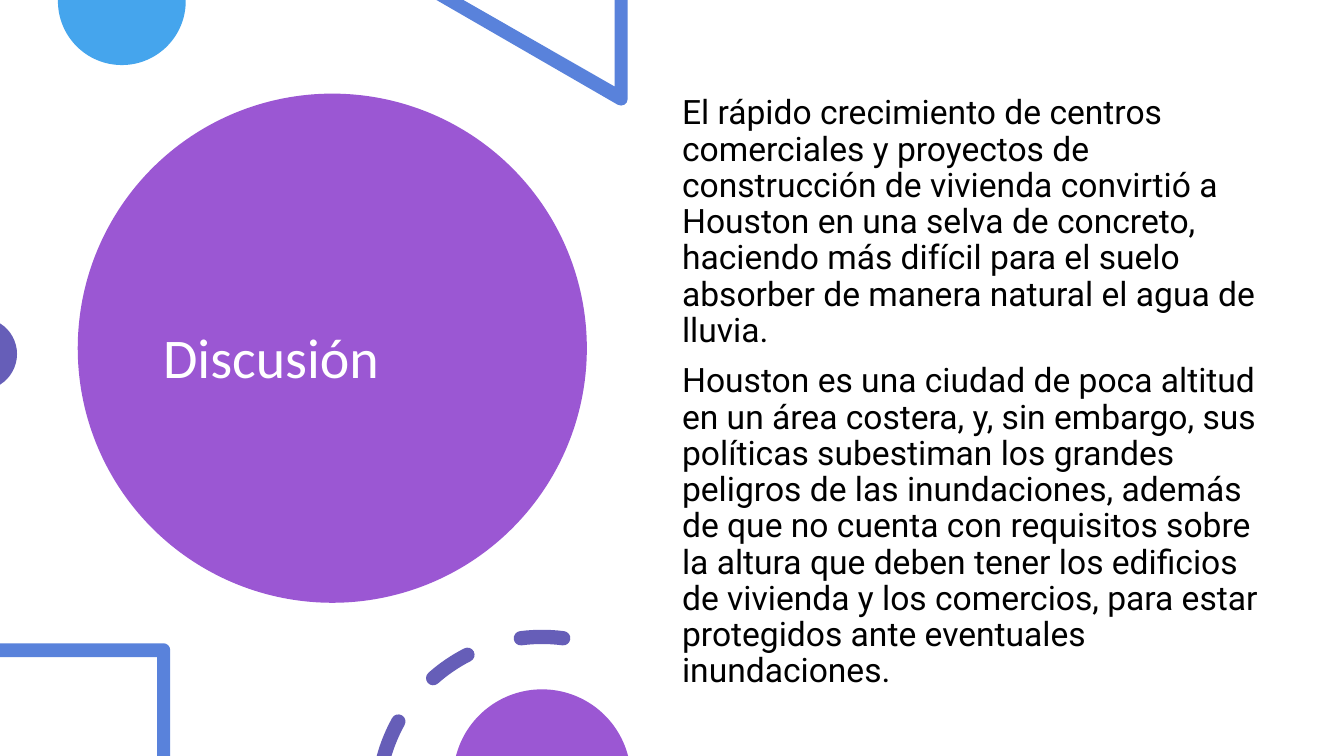
from math import cos, radians, sin, tan

from lxml.etree import SubElement
from pptx import Presentation
from pptx.dml.color import RGBColor
from pptx.enum.shapes import MSO_SHAPE as Shape
from pptx.enum.text import MSO_ANCHOR as Anchor
from pptx.oxml.ns import qn
from pptx.util import Cm, Pt

WIDE, HIGH = 33.87, 19.05
PURPLE, INDIGO, BLUE, SKY, WHITE = "9B57D3", "665EB8", "5982DB", "45A5ED", "FFFFFF"

BODY = [
    "El rápido crecimiento de centros comerciales y proyectos de construcción "
    "de vivienda convirtió a Houston en una selva de concreto, haciendo más "
    "difícil para el suelo absorber de manera natural el agua de lluvia.",
    "Houston es una ciudad de poca altitud en un área costera, y, sin embargo, "
    "sus políticas subestiman los grandes peligros de las inundaciones, además "
    "de que no cuenta con requisitos sobre la altura que deben tener los "
    "edificios de vivienda y los comercios, para estar protegidos ante "
    "eventuales inundaciones.",
]


def paint(shape, color):
    shape.fill.solid()
    shape.fill.fore_color.rgb = RGBColor.from_string(color)
    shape.line.fill.background()
    shape.shadow.inherit = False


def preset(slide, kind, box, color):
    paint(slide.shapes.add_shape(kind, *map(Cm, box)), color)


def spot(x, y, r, turn):
    """The point of a circle at an angle counterclockwise from the right."""
    return x + r * cos(radians(turn)), y - r * sin(radians(turn))


def arc(x, y, r, start, end, parts=1):
    """Steps of an arc: its first point, then cubic curves of three points."""
    steps = [[spot(x, y, r, start)]]
    span = (end - start) / parts
    reach = 4 / 3 * tan(radians(span) / 4)
    for i in range(parts):
        a, b = start + i * span, start + (i + 1) * span
        (ax, ay), (bx, by) = spot(x, y, r, a), spot(x, y, r, b)
        ux, uy = spot(0, 0, r * reach, a + 90)
        vx, vy = spot(0, 0, r * reach, b + 90)
        steps.append([(ax + ux, ay + uy), (bx - vx, by - vy), (bx, by)])
    return steps


def corners(*points):
    return [[point] for point in points]


def outline(slide, rings, color):
    """Fill closed rings, whose steps are lines (one point) or curves (three)."""
    def scale(step):
        return [(Cm(x), Cm(y)) for x, y in step]

    form = slide.shapes.build_freeform(*scale(rings[0][0])[0])
    for i, ring in enumerate(rings):
        if i:
            form.move_to(*scale(ring[0])[0])
        form.add_line_segments([p for step in ring[1:] for p in scale(step)])
    shape = form.convert_to_shape()
    lines = iter(shape._element.xpath(".//a:lnTo"))
    for step in (step for ring in rings for step in ring[1:]):
        group = [next(lines) for _ in step]
        if len(group) == 3:
            curve = SubElement(group[0].getparent(), qn("a:cubicBezTo"))
            group[0].addprevious(curve)
            for line in group:
                curve.append(line[0])
                line.getparent().remove(line)
    paint(shape, color)


def dash(x, y, r, start, end, inner, half=0.18):
    """A curved stroke; its far end is round unless the inner side ends elsewhere."""
    head, tail = spot(x, y, r, start), spot(x, y, r, end)
    back = arc(x, y, r - half, inner, start)
    if end == inner:
        back = arc(*tail, half, end, end + 180, 2)[1:] + back[1:]
    return (arc(x, y, r + half, start, end) + back
            + arc(*head, half, start + 180, start + 360, 2)[1:])


def write(slide, box, texts, font, size, color, anchor=Anchor.TOP, before=0):
    frame = slide.shapes.add_textbox(*map(Cm, box)).text_frame
    frame.word_wrap = True
    frame.vertical_anchor = anchor
    frame.text = "\n".join(texts)
    for para in frame.paragraphs:
        para.line_spacing = 0.9
        para.space_before = Pt(before)
        for run in para.runs:
            run.font.name = font
            run.font.size = Pt(size)
            run.font.color.rgb = RGBColor.from_string(color)


def main():
    deck = Presentation()
    deck.slide_width, deck.slide_height = Cm(WIDE), Cm(HIGH)
    slide = deck.slides.add_slide(deck.slide_layouts[6])

    preset(slide, Shape.RECTANGLE, (0, 0, WIDE, HIGH), WHITE)
    preset(slide, Shape.OVAL, (1.96, 2.36, 12.83, 12.83), PURPLE)
    write(slide, (3.86, 3.43, 8.99, 11.3), ["Discusión"],
          "Calibri", 40, WHITE, Anchor.MIDDLE)

    outline(slide, [arc(3.07, 0.03, 1.61, 179, 361, 2)], SKY)
    wedge = corners((15.82, 0), (15.49, 0), (15.49, 2.18), (11.68, 0), (11, 0))
    outline(slide, [wedge + arc(15.65, 2.49, 0.17, 240, 360)], BLUE)
    outline(slide, [arc(-0.48, 8.92, 0.91, -58.2, 58.2, 2)], INDIGO)
    write(slide, (16.94, 2.29, 15.6, 15.11), BODY, "Roboto", 24, "000000", before=10)

    frame = corners((4.29, HIGH), (3.96, HIGH), (3.96, 16.56), (0, 16.56), (0, 16.21))
    outline(slide, [frame + arc(4.12, 16.38, 0.17, 90, 0)], BLUE)
    spans = [(151, 164.7, 163.27), (117, 131.5, 131.5), (82.6, 97.4, 97.4)]
    outline(slide, [dash(13.66, 20.19, 4.14, *span) for span in spans], INDIGO)
    outline(slide, [arc(13.66, 19.61, 2.24, 14.5, 165.5, 2)], PURPLE)
    deck.save("out.pptx")


if __name__ == "__main__":
    main()
